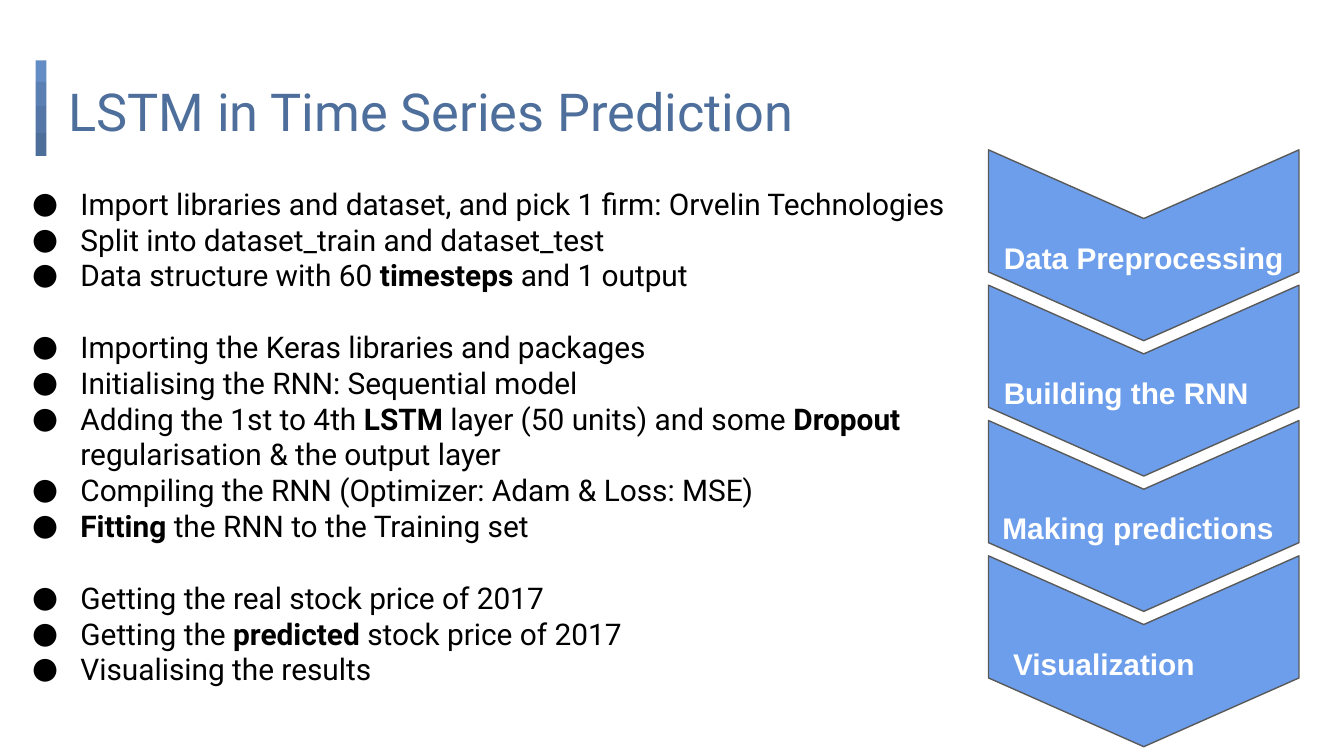
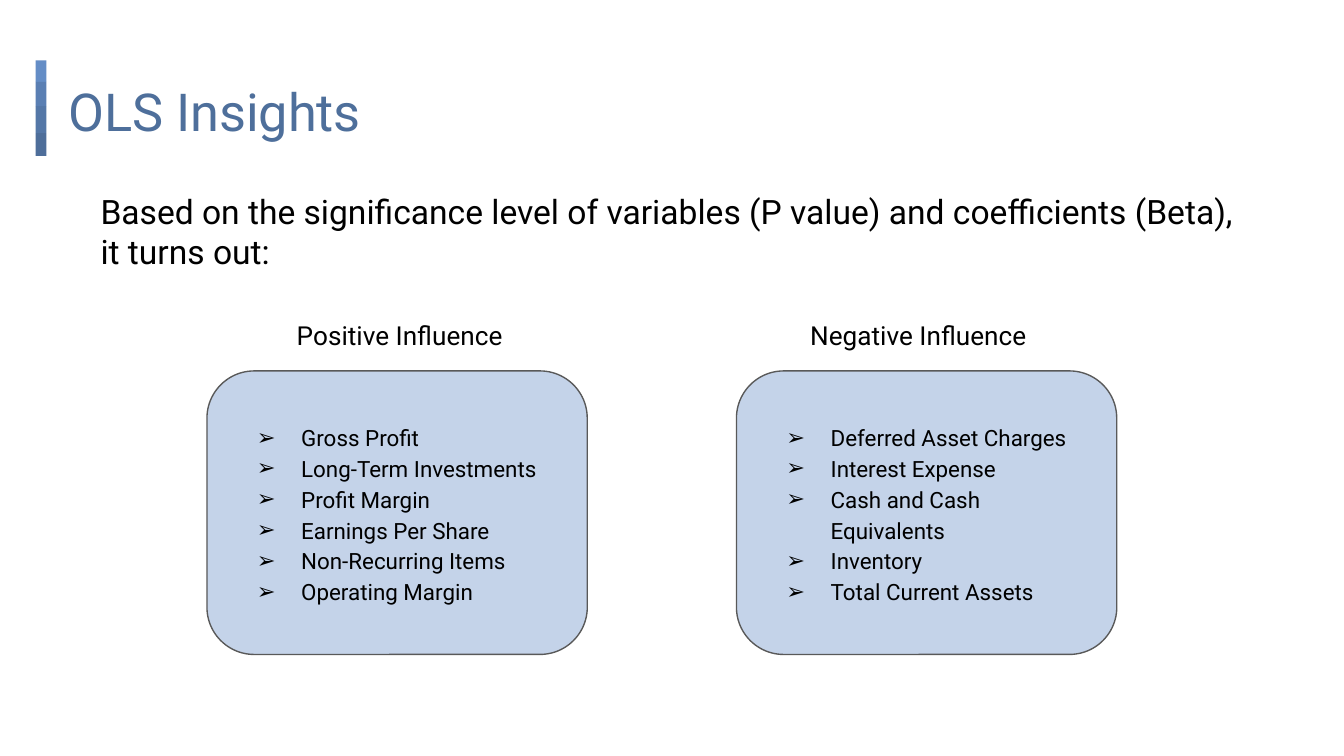
from dataclasses import dataclass

from pptx import Presentation
from pptx.dml.color import RGBColor
from pptx.enum.shapes import MSO_SHAPE
from pptx.enum.text import MSO_ANCHOR, PP_ALIGN
from pptx.oxml.ns import qn
from pptx.oxml.xmlchemy import OxmlElement
from pptx.util import Inches, Pt


@dataclass(frozen=True)
class Theme:
    font: str = "Roboto"
    label_font: str = "Arial"
    title: str = "4E6F9B"
    text: str = "000000"
    light: str = "FFFFFF"
    outline: str = "595959"
    step: str = "6D9EEB"
    card: str = "648DC6"
    bar: tuple = ("648DC6", "5A7FB3", "5477A7", "4E6E9A")
    title_size: int = 28
    lead_size: int = 18
    body_size: int = 16
    heading_size: int = 14
    list_size: int = 12


theme = Theme()
prs = Presentation()
prs.slide_width, prs.slide_height = Inches(10), Inches(5.625)
CELL = prs.slide_width / 100  # square grid, 100 columns wide


def add_box(slide, kind, col, row, cols, rows, fill=None, alpha=100, line=None):
    """Add a preset shape, or a text box when kind is None, on the grid."""
    frame = [round(v * CELL) for v in (col, row, cols, rows)]
    if kind is None:
        s = slide.shapes.add_textbox(*frame)
    else:
        s = slide.shapes.add_shape(kind, *frame)
        s.shadow.inherit = False
        s.fill.solid()
        s.fill.fore_color.rgb = RGBColor.from_string(fill)
        if alpha < 100:
            a = OxmlElement("a:alpha")
            a.set("val", str(alpha * 1000))
            s.element.spPr.find(".//" + qn("a:srgbClr")).append(a)
        if line:
            s.line.color.rgb = RGBColor.from_string(line)
            s.line.width = Pt(0.75)
        else:
            s.line.fill.background()
    tf = s.text_frame
    tf.word_wrap = True
    tf.margin_left = tf.margin_right = tf.margin_top = tf.margin_bottom = Inches(0.1)
    return s


def write(tf, lines, size, color=theme.text, font=theme.font, bold=False,
          bullet=None, indent=0.0, spacing=None):
    """Fill a text frame; **stars** around words make them bold."""
    for i, text in enumerate(lines):
        p = tf.paragraphs[0] if i == 0 else tf.add_paragraph()
        p.alignment = PP_ALIGN.LEFT
        if spacing:
            p.line_spacing = spacing
        if bullet:
            pPr = p._p.get_or_add_pPr()
            pPr.set("marL", str(Inches(0.5)))
            pPr.set("indent", str(-Inches(indent)))
            clr, rgb, face, char = map(
                OxmlElement, ("a:buClr", "a:srgbClr", "a:buFont", "a:buChar"))
            rgb.set("val", theme.text)
            clr.append(rgb)
            face.set("typeface", font)
            char.set("char", bullet)
            pPr.extend([clr, face, char])
        for k, part in enumerate(text.split("**")):
            if part:
                r = p.add_run()
                r.text = part
                r.font.name, r.font.size = font, Pt(size)
                r.font.bold = bold or k % 2 == 1
                r.font.color.rgb = RGBColor.from_string(color)


# Shared frame: side bar and title
slides = []
for title in ("LSTM in Time Series Prediction", "OLS Insights"):
    slide = prs.slides.add_slide(prs.slide_layouts[6])
    slides.append(slide)

    top = 4.5
    for color, height in zip(theme.bar, (1.6, 1.8, 2.0, 1.7)):
        add_box(slide, MSO_SHAPE.RECTANGLE, 2.65, top, 0.8, height, color)
        top += height

    s = add_box(slide, None, 4.1, 4.9, 92.5, 6.3)
    write(s.text_frame, [title], theme.title_size, theme.title)

lstm, ols = slides

# LSTM: bullets in three groups, one line apart
groups = [
    ["Import libraries and dataset, and pick 1 firm: Orvelin Technologies",
     "Split into dataset_train and dataset_test",
     "Data structure with 60 **timesteps** and 1 output"],
    ["Importing the Keras libraries and packages",
     "Initialising the RNN: Sequential model",
     "Adding the 1st to 4th **LSTM** layer (50 units) and some **Dropout**"
     " regularisation & the output layer",
     "Compiling the RNN (Optimizer: Adam & Loss: MSE)",
     "**Fitting** the RNN to the Training set"],
    ["Getting the real stock price of 2017",
     "Getting the **predicted** stock price of 2017",
     "Visualising the results"],
]
tf = add_box(lstm, None, 0, 12.8, 76.1, 41.4).text_frame
write(tf, sum(groups, []), theme.body_size, bullet="●", indent=0.36)
start = 0
for group in groups[:-1]:
    start += len(group)
    tf.paragraphs[start].space_before = Pt(19.2)

# LSTM: chevrons pointing down, with their labels
steps = [("Data Preprocessing", 73.7), ("Building the RNN", 73.7),
         ("Making predictions", 73.6), ("Visualization", 74.4)]
PITCH = 10.07
for i in range(len(steps)):
    s = add_box(lstm, MSO_SHAPE.CHEVRON, 78, 6.7 + i * PITCH, 14.2, 23.1,
                theme.step, line=theme.outline)
    s.adjustments[0] = 0.36
    s.rotation = 90
for i, (label, col) in enumerate(steps):
    s = add_box(lstm, None, col, 16.8 + i * PITCH, 23.9, 5.8)
    write(s.text_frame, [label], theme.body_size, theme.light, theme.label_font, bold=True)

# OLS: lead sentence
s = add_box(ols, None, 6.5, 13.2, 91.4, 7.4)
write(s.text_frame,
      ["Based on the significance level of variables (P value) and coefficients (Beta),",
       "it turns out:"], theme.lead_size)

# OLS: one headed card for each direction of influence
cards = [
    ("Positive Influence", 21.1, 15.4,
     ["Gross Profit", "Long-Term Investments", "Profit Margin",
      "Earnings Per Share", "Non-Recurring Items", "Operating Margin"]),
    ("Negative Influence", 59.3, 54.8,
     ["Deferred Asset Charges", "Interest Expense", "Cash and Cash Equivalents",
      "Inventory", "Total Current Assets"]),
]
for heading, heading_col, card_col, items in cards:
    s = add_box(ols, None, heading_col, 22.8, 19.3, 4.5)
    write(s.text_frame, [heading], theme.heading_size)
    s = add_box(ols, MSO_SHAPE.ROUNDED_RECTANGLE, card_col, 27.6, 28.3, 21.1,
                theme.card, 38, theme.outline)
    s.text_frame.vertical_anchor = MSO_ANCHOR.MIDDLE
    write(s.text_frame, items, theme.list_size, bullet="➢", indent=0.33, spacing=1.15)

prs.save("out.pptx")
